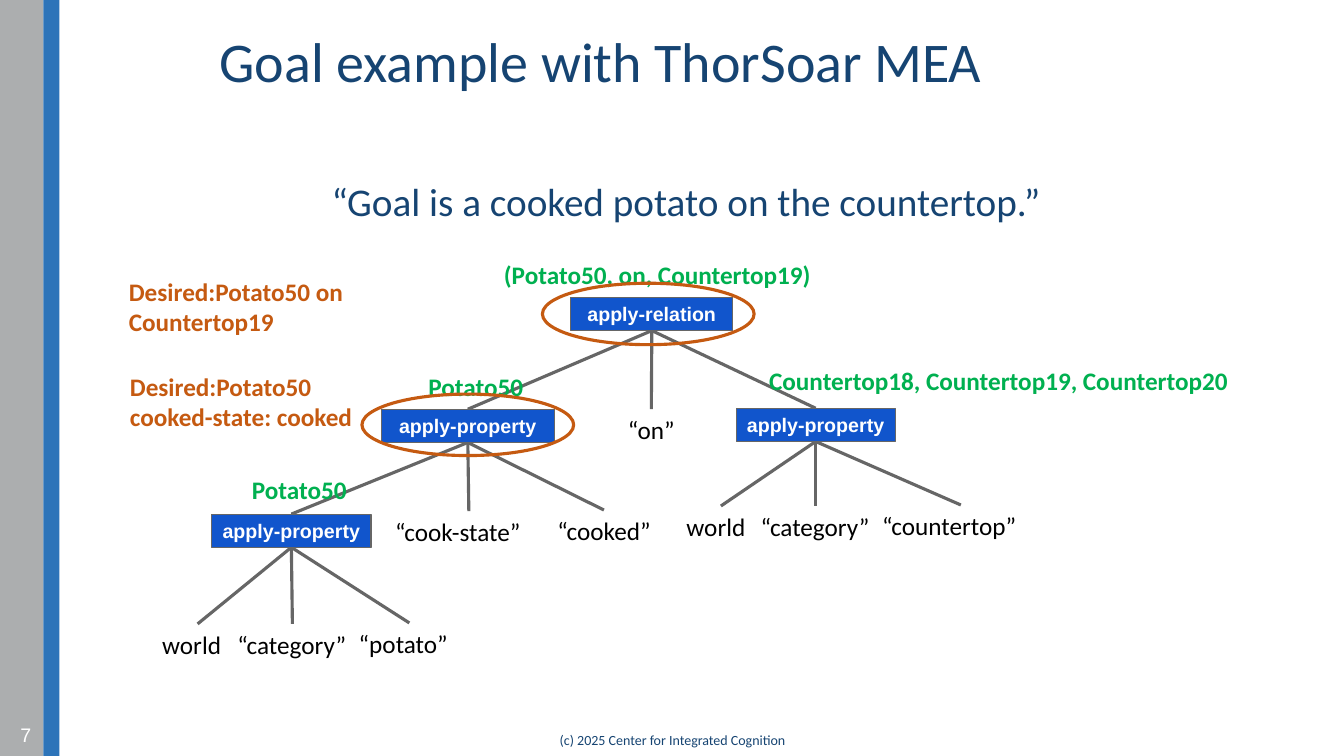
"""Build the ThorSoar goal example slide with its parse tree."""
from dataclasses import dataclass

import pptx
import pptx.dml.color
import pptx.enum.shapes
import pptx.enum.text
import pptx.oxml.ns
import pptx.presentation
import pptx.shapes.autoshape
import pptx.slide
import pptx.util
from lxml import etree

Inches = pptx.util.Inches
RGBColor = pptx.dml.color.RGBColor
Align = pptx.enum.text.PP_ALIGN
Anchor = pptx.enum.text.MSO_ANCHOR
Shape = pptx.enum.shapes.MSO_SHAPE

GRAY = RGBColor(0xAC, 0xAE, 0xAF)
STRIPE_BLUE = RGBColor(0x2D, 0x74, 0xB9)
NAVY = RGBColor(0x16, 0x44, 0x72)
NODE_BLUE = RGBColor(0x11, 0x55, 0xCC)
BRANCH_GRAY = RGBColor(0x66, 0x66, 0x66)
GREEN = RGBColor(0x00, 0xB0, 0x50)
ORANGE = RGBColor(0xC5, 0x5A, 0x11)
BLACK = RGBColor(0, 0, 0)
WHITE = RGBColor(255, 255, 255)

NODE_HEIGHT = 0.33
LABEL_HEIGHT = 0.4


@dataclass(frozen=True)
class Label:
    text: str
    left: float
    top: float
    width: float
    height: float = LABEL_HEIGHT
    color: RGBColor = BLACK
    size: float = 18
    bold: bool = False
    font: str = "Calibri"
    align: Align = Align.LEFT
    anchor: Anchor = Anchor.TOP
    spacing: float = 1.0


@dataclass(frozen=True)
class Node:
    text: str
    left: float
    top: float
    width: float
    tips: tuple[tuple[float, float], ...]


@dataclass(frozen=True)
class Panel:
    kind: Shape
    left: float
    top: float
    width: float
    height: float
    fill: RGBColor | None = None
    line: RGBColor | None = None
    line_width: float = 0.75


STRIPES = (
    Panel(Shape.RECTANGLE, -0.02, -0.01, 0.45, 7.53, GRAY),
    Panel(Shape.RECTANGLE, 0.43, -0.01, 0.16, 7.53, STRIPE_BLUE),
)
GOAL_RINGS = tuple(
    Panel(Shape.OVAL, left, top, 2.1, 0.61, line=ORANGE, line_width=2.25)
    for left, top in ((3.59, 3.91), (5.38, 2.81))
)
NODES = (
    Node("apply-relation", 5.66, 2.95, 1.61, ((4.64, 4.06), (6.46, 4.06), (8.09, 4.05))),
    Node("apply-property", 3.78, 4.06, 1.72, ((2.89, 5.1), (4.65, 5.07), (5.99, 5.06))),
    Node("apply-property", 2.1, 5.1, 1.58, ((1.96, 6.19), (2.9, 6.19), (4.06, 6.18))),
    Node("apply-property", 7.3, 4.05, 1.58, ((7.15, 5.02), (8.09, 5.02), (9.53, 5.01))),
)
LABELS = (
    Label("Goal example with ThorSoar MEA", 2.08, 0.11, 10.82, 1.06, NAVY, 40,
          anchor=Anchor.MIDDLE, spacing=0.9),
    Label("“Goal is a cooked potato on the countertop.”", 3.19, 1.76, 7.74, 1.15, NAVY, 28,
          spacing=0.9),
    Label("7", -0.05, 7.09, 0.46, color=WHITE, size=14, font="Arial",
          align=Align.RIGHT, anchor=Anchor.MIDDLE),
    Label("(c) 2025 Center for Integrated Cognition", 4.42, 7.22, 4.5, 0.25, NAVY, 10,
          align=Align.CENTER, anchor=Anchor.MIDDLE),
    Label("“on”", 6.02, 4.06, 0.88, align=Align.CENTER),
    Label("“cook-state”", 3.82, 5.07, 1.66),
    Label("“cooked”", 5.43, 5.06, 1.13),
    Label("world", 1.51, 6.19, 0.88),
    Label("“category”", 2.21, 6.19, 1.37, align=Align.CENTER),
    Label("“potato”", 3.46, 6.18, 1.2),
    Label("world", 6.71, 5.02, 0.88),
    Label("“category”", 7.4, 5.02, 1.37, align=Align.CENTER),
    Label("“countertop”", 8.65, 5.01, 1.75),
    Label("(Potato50, on, Countertop19)", 4.9, 2.52, 5.4, color=GREEN, bold=True),
    Label("Potato50", 4.15, 3.63, 1.2, color=GREEN, bold=True),
    Label("Potato50", 2.4, 4.66, 1.2, color=GREEN, bold=True),
    Label("Countertop18, Countertop19, Countertop20", 7.53, 3.58, 5.4, color=GREEN, bold=True),
    Label("Desired:Potato50 on Countertop19", 1.18, 2.69, 3.23, 0.71, ORANGE, bold=True),
    Label("Desired:Potato50\vcooked-state: cooked", 1.19, 3.63, 3.36, 0.71, ORANGE, bold=True),
)


def write_text(frame: pptx.text.text.TextFrame, label: Label) -> None:
    """Fill a text frame with one formatted paragraph."""
    frame.text = label.text
    frame.word_wrap = True
    frame.vertical_anchor = label.anchor
    para = frame.paragraphs[0]
    para.alignment = label.align
    para.line_spacing = label.spacing
    for span in para.runs:
        span.font.name = label.font
        span.font.size = pptx.util.Pt(label.size)
        span.font.bold = label.bold
        span.font.color.rgb = label.color


def add_label(page: pptx.slide.Slide, label: Label) -> None:
    """Place a text box."""
    box = page.shapes.add_textbox(
        Inches(label.left), Inches(label.top), Inches(label.width), Inches(label.height))
    write_text(box.text_frame, label)


def add_panel(page: pptx.slide.Slide, panel: Panel) -> pptx.shapes.autoshape.Shape:
    """Place a preset shape with its fill and outline."""
    shape = page.shapes.add_shape(
        panel.kind, Inches(panel.left), Inches(panel.top),
        Inches(panel.width), Inches(panel.height))
    shape.shadow.inherit = False
    if panel.fill is None:
        shape.fill.background()
    else:
        shape.fill.solid()
        shape.fill.fore_color.rgb = panel.fill
    if panel.line is None:
        shape.line.fill.background()
    else:
        shape.line.color.rgb = panel.line
        shape.line.width = pptx.util.Pt(panel.line_width)
    return shape


def add_branches(page: pptx.slide.Slide, node: Node) -> None:
    """Join the bottom centre of a node to each of its children."""
    for tip_x, tip_y in node.tips:
        branch = page.shapes.add_connector(
            pptx.enum.shapes.MSO_CONNECTOR.STRAIGHT,
            Inches(node.left + node.width / 2), Inches(node.top + NODE_HEIGHT),
            Inches(tip_x), Inches(tip_y))
        branch.line.color.rgb = BRANCH_GRAY
        branch.line.width = pptx.util.Pt(2.25)
        etree.SubElement(branch.element.spPr, pptx.oxml.ns.qn("a:effectLst"))


def add_node(page: pptx.slide.Slide, node: Node) -> None:
    """Place a tree node with its operator name."""
    box = add_panel(page, Panel(Shape.RECTANGLE, node.left, node.top, node.width,
                                NODE_HEIGHT, NODE_BLUE, BRANCH_GRAY))
    frame = box.text_frame
    write_text(frame, Label(node.text, node.left, node.top, node.width, NODE_HEIGHT, WHITE, 14,
                            True, "Arial", Align.CENTER, Anchor.MIDDLE))
    frame.margin_left = frame.margin_right = Inches(0.1)
    frame.margin_top = frame.margin_bottom = Inches(0.1)


def main() -> None:
    """Assemble and save the slide."""
    deck = pptx.Presentation()
    deck.slide_width, deck.slide_height = Inches(13.33), Inches(7.5)
    page = deck.slides.add_slide(deck.slide_layouts[6])
    for stripe in STRIPES:
        add_panel(page, stripe)
    for node in NODES:
        add_branches(page, node)
    for node in NODES:
        add_node(page, node)
    for label in LABELS:
        add_label(page, label)
    for ring in GOAL_RINGS:
        add_panel(page, ring)
    deck.save("out.pptx")


if __name__ == "__main__":
    main()
